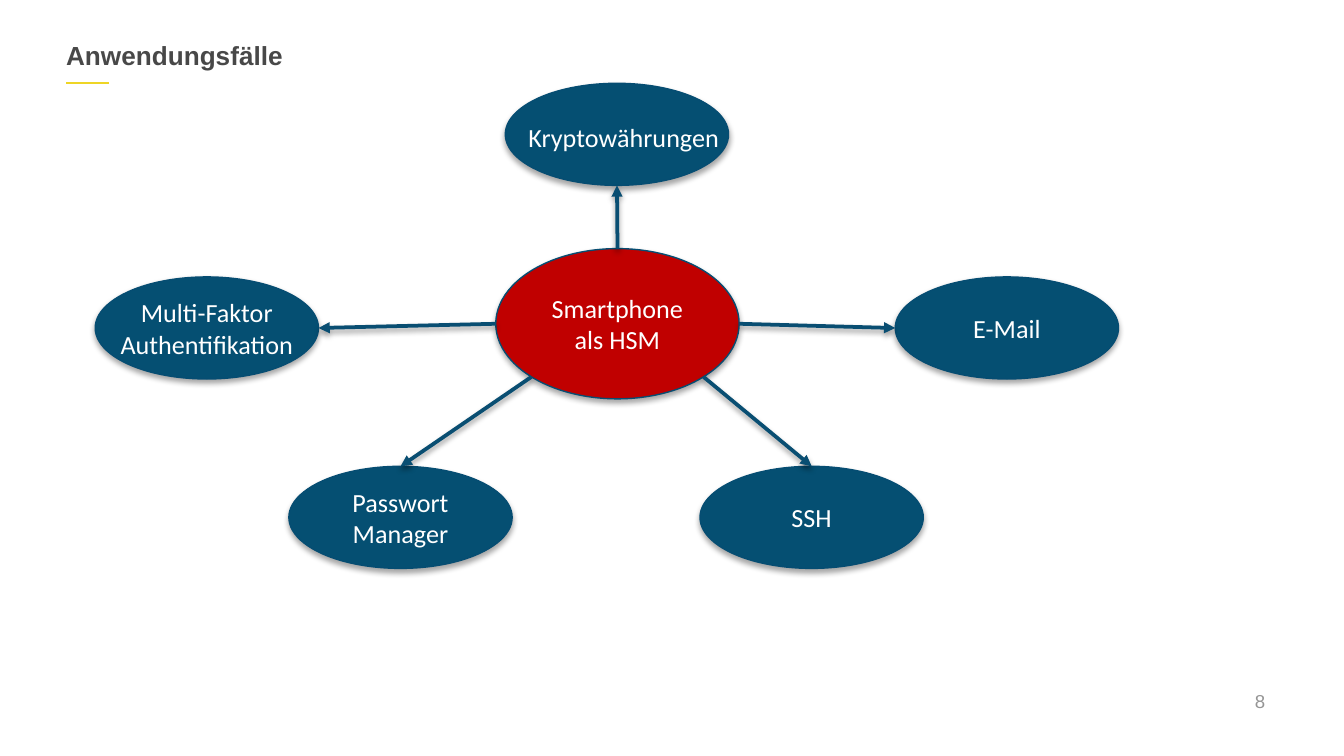
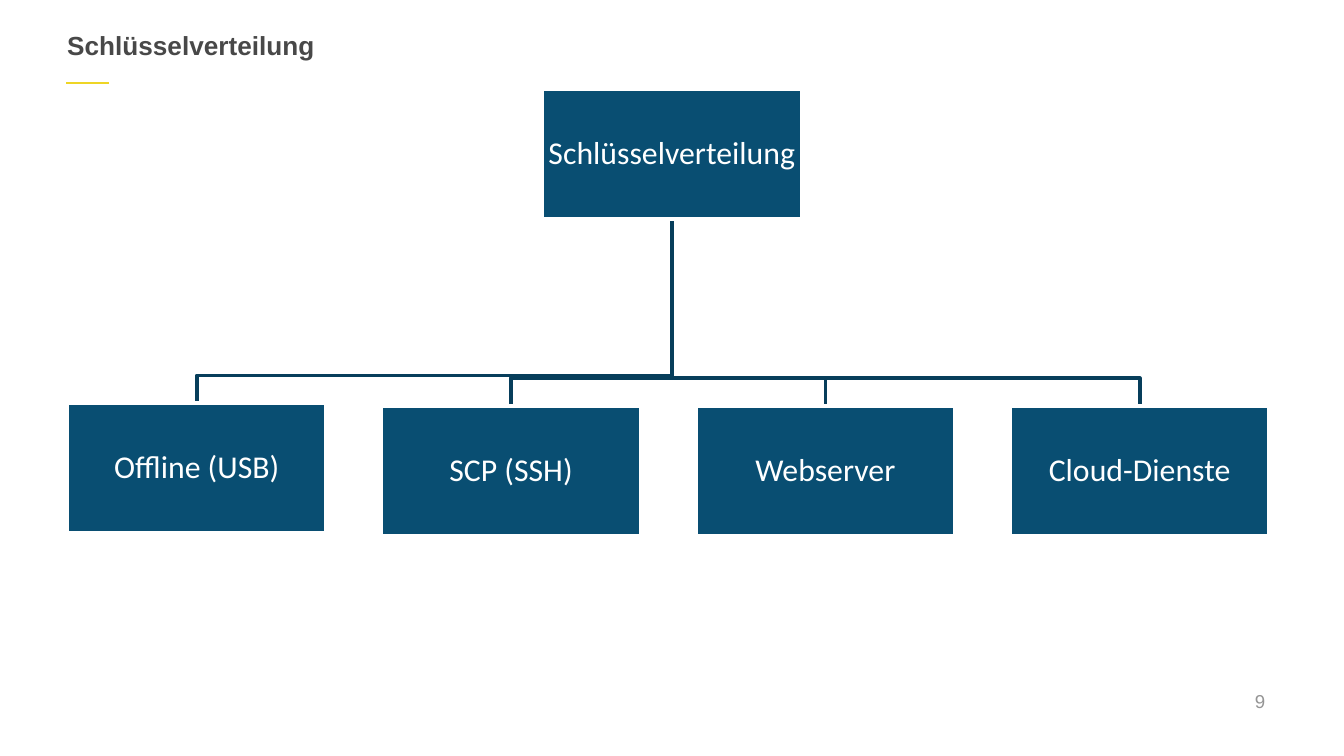
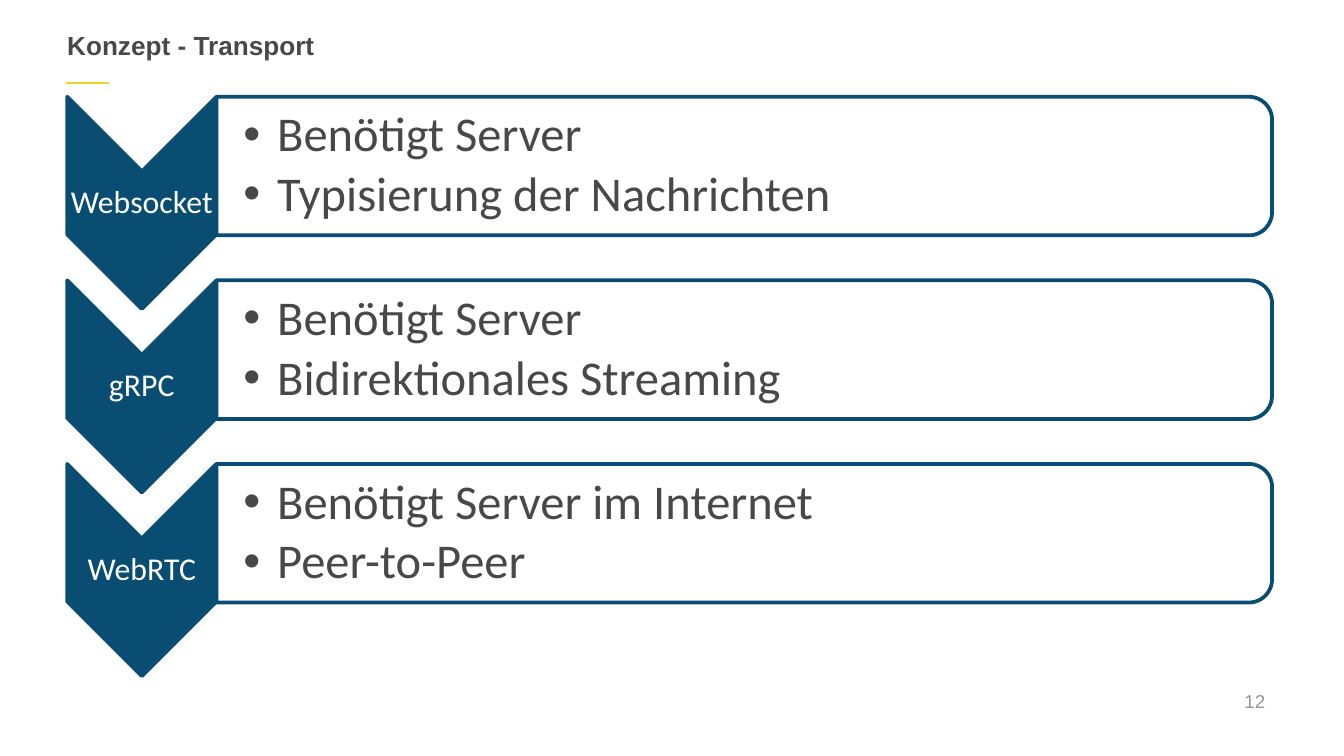
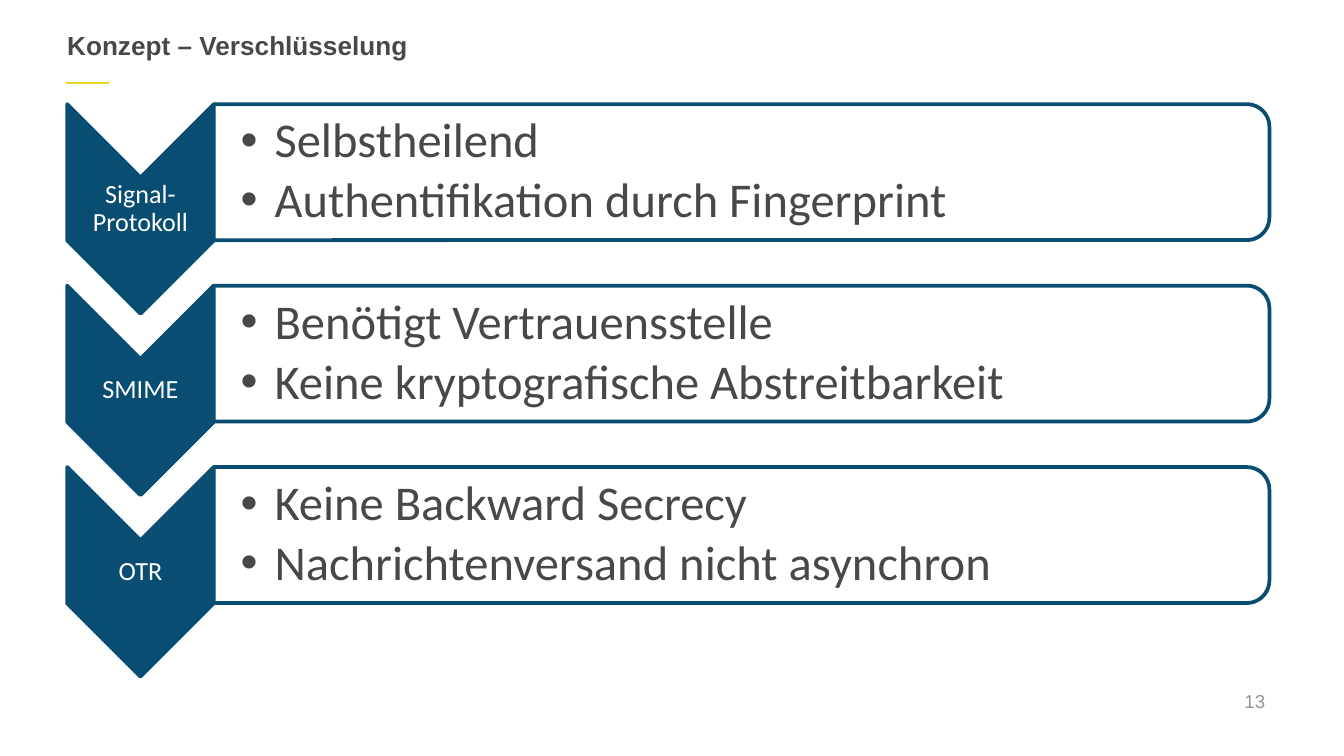
from math import cos, pi, sin

from lxml.etree import SubElement
from pptx import Presentation
from pptx.dml.color import RGBColor
from pptx.enum.shapes import MSO_CONNECTOR, MSO_SHAPE
from pptx.enum.text import MSO_ANCHOR, PP_ALIGN
from pptx.oxml.ns import qn
from pptx.util import Cm, Pt

WHITE = RGBColor(0xFF, 0xFF, 0xFF)
INK = RGBColor(0x48, 0x48, 0x48)
GREY = RGBColor(0x95, 0x95, 0x95)
GOLD = RGBColor(0xEE, 0xD5, 0x25)
RED = RGBColor(0xC0, 0x00, 0x00)
OVAL = RGBColor(0x05, 0x4F, 0x72)
RIM = RGBColor(0x06, 0x4D, 0x72)
BLUE = RGBColor(0x09, 0x4E, 0x72)
NAVY = RGBColor(0x07, 0x3E, 0x5B)

LEFT = 1.27

HUB = {"text": "Smartphone als HSM", "mid": (11.67, 6.12), "size": (4.6, 2.84),
       "label": (3.15, 1.45), "shift": (0, 0), "fill": RED}
CASES = [
    {"text": "E-Mail", "mid": (19.03, 6.2), "label": (3.15, 0.86), "turn": 0, "port": pi},
    {"text": "SSH", "mid": (15.34, 9.78), "label": (3.15, 0.86), "turn": pi / 4, "port": -pi / 2},
    {"text": "Passwort Manager", "mid": (7.57, 9.78), "label": (3.15, 1.45),
     "turn": 3 * pi / 4, "port": -pi / 2},
    {"text": "Multi-Faktor\nAuthentifikation", "mid": (3.91, 6.2), "label": (3.84, 1.45),
     "turn": pi, "port": 0},
    {"text": "Kryptowährungen", "mid": (11.66, 2.54), "label": (4.22, 0.86),
     "shift": (0.13, 0.05), "turn": -pi / 2, "port": pi / 2},
]
CASE = {"size": (4.22, 1.93), "shift": (0, 0), "fill": OVAL}

ROOT = "Schlüsselverteilung"
WAYS = [("Offline (USB)", 7.62), ("SCP (SSH)", 7.67), ("Webserver", 7.67), ("Cloud-Dienste", 7.67)]

MOVES = [
    ("Websocket", ["Benötigt Server", "Typisierung der Nachrichten"]),
    ("gRPC", ["Benötigt Server", "Bidirektionales Streaming"]),
    ("WebRTC", ["Benötigt Server im Internet", "Peer-to-Peer"]),
]
CIPHERS = [
    ("Signal-Protokoll", ["Selbstheilend", "Authentifikation durch Fingerprint"]),
    ("SMIME", ["Benötigt Vertrauensstelle", "Keine kryptografische Abstreitbarkeit"]),
    ("OTR", ["Keine Backward Secrecy", "Nachrichtenversand nicht asynchron"]),
]


def effect(item, alpha=None, dist=0):
    box = SubElement(item._element.spPr, qn("a:effectLst"))
    if alpha:
        shade = SubElement(box, qn("a:outerShdw"), blurRad=str(Pt(3.1)), dist=str(Pt(dist)),
                           dir="5400000", rotWithShape="0")
        tone = SubElement(shade, qn("a:srgbClr"), val="000000")
        SubElement(tone, qn("a:alpha"), val=str(alpha * 1000))


def stroke(item, color, width):
    item.line.color.rgb = color
    item.line.width = Pt(width)


def write(item, lines, size, color=WHITE, font="Calibri", bold=False,
          align=PP_ALIGN.CENTER, inset=None, space=None, dots=False):
    frame = item.text_frame
    frame.word_wrap = True
    frame.vertical_anchor = MSO_ANCHOR.MIDDLE
    if inset:
        (frame.margin_left, frame.margin_top,
         frame.margin_right, frame.margin_bottom) = map(Cm, inset)
    for i, line in enumerate(lines):
        para = frame.add_paragraph() if i else frame.paragraphs[0]
        para.alignment = align
        if space:
            para.line_spacing = space
        if dots:
            para.space_after = Pt(4)
            props = para._p.get_or_add_pPr()
            props.set("marL", str(Cm(0.64)))
            props.set("indent", str(-Cm(0.64)))
            SubElement(props, qn("a:buFont"), typeface="Arial")
            SubElement(props, qn("a:buChar"), char="•")
        for j, part in enumerate(line.split("\n")):
            if j:
                para.add_line_break()
            run = para.add_run()
            run.text = part
            run.font.name = font
            run.font.size = Pt(size)
            run.font.bold = bold
            run.font.color.rgb = color


def label(slide, place, lines, size, **look):
    write(slide.shapes.add_textbox(*map(Cm, place)), lines, size, **look)


def around(mid, size):
    return mid[0] - size[0] / 2, mid[1] - size[1] / 2, *size


def shape(slide, kind, place, fill, line, width):
    item = slide.shapes.add_shape(kind, *map(Cm, place))
    item.fill.solid()
    item.fill.fore_color.rgb = fill
    stroke(item, line, width)
    return item


def link(slide, start, end, color, width):
    item = slide.shapes.add_connector(MSO_CONNECTOR.STRAIGHT, *map(Cm, (*start, *end)))
    stroke(item, color, width)
    return item


def page(deck, title, number, spot=(LEFT, 0.36)):
    slide = deck.slides.add_slide(deck.slide_layouts[6])
    effect(link(slide, (2.06, 1.57), (1.24, 1.57), GOLD, 1.5))
    label(slide, (18.24, 12.75, 5.92, 0.99), [str(number)], 10, color=GREY,
          font="Arial", align=PP_ALIGN.RIGHT)
    label(slide, (*spot, 22.76, 0.99), [title], 14, color=INK, font="Arial",
          bold=True, align=PP_ALIGN.LEFT, inset=(0, 0, 0, 0))
    return slide


def edge(node, angle):
    (x, y), (w, h) = node["mid"], node["size"]
    return x + w / 2 * cos(angle), y + h / 2 * sin(angle)


def star(slide):
    nodes = [CASE | case for case in CASES]
    for node in [HUB, *nodes]:
        item = shape(slide, MSO_SHAPE.OVAL, around(node["mid"], node["size"]),
                     node["fill"], RIM, 0.75)
        effect(item, 35, 1.8)
        mid = [a + b for a, b in zip(node["mid"], node["shift"])]
        label(slide, around(mid, node["label"]), [node["text"]], 14)
    for node in nodes:
        arm = link(slide, edge(HUB, node["turn"]), edge(node, node["port"]), BLUE, 2)
        SubElement(arm.line._get_or_add_ln(), qn("a:tailEnd"), type="triangle")
        effect(arm, 38, 1.6)


def tree(slide):
    wide, high, step = 4.9, 2.46, 5.94
    top, mid = 1.68, 12.7
    boxes = [(text, LEFT + i * step, y) for i, (text, y) in enumerate(WAYS)]
    for _, x, y in reversed(boxes):
        end, bend = x + wide / 2, y - 0.52
        path = slide.shapes.build_freeform(Cm(mid), Cm(top + high))
        path.add_line_segments([(Cm(a), Cm(b)) for a, b in
                                [(mid, bend), (end, bend), (end, y)]], close=False)
        item = path.convert_to_shape()
        item.fill.background()
        stroke(item, NAVY, 2)
        effect(item)
    for text, x, y in [(ROOT, mid - wide / 2, top), *boxes]:
        item = shape(slide, MSO_SHAPE.RECTANGLE, (x, y, wide, high), BLUE, WHITE, 2)
        effect(item)
        write(item, [text], 17, inset=(0.03,) * 4, space=0.9)


def steps(slide, rows, top, pitch, long, wide, deep, size):
    start, reach = LEFT + wide, 19.95
    for i, (name, points) in enumerate(rows):
        y = top + i * pitch
        mid = LEFT + wide / 2, y + long / 2
        arrow = shape(slide, MSO_SHAPE.CHEVRON, around(mid, (long, wide)), BLUE, BLUE, 2)
        arrow.rotation = 90
        effect(arrow)
        label(slide, around(mid, (wide, long - wide)), [name], size,
              inset=(0.03,) * 4, space=0.9)
        spot = start + reach / 2, y + deep / 2
        bar = shape(slide, MSO_SHAPE.ROUND_2_SAME_RECTANGLE, around(spot, (deep, reach)),
                    WHITE, BLUE, 2)
        bar.rotation = 90
        tone = bar._element.spPr.find(qn("a:solidFill")).find(qn("a:srgbClr"))
        SubElement(tone, qn("a:alpha"), val="90000")
        effect(bar)
        label(slide, (start, y + 0.13, reach - 0.13, deep - 0.26), points, 26, color=INK,
              align=PP_ALIGN.LEFT, inset=(0.51, 0.05, 0.05, 0.05), space=0.9, dots=True)


def main():
    deck = Presentation()
    deck.slide_width, deck.slide_height = Cm(25.4), Cm(14.29)
    star(page(deck, "Anwendungsfälle", 8, (1.25, 0.54)))
    tree(page(deck, "Schlüsselverteilung", 9))
    steps(page(deck, "Konzept - Transport", 12), MOVES, 1.83, 3.47, 4.01, 2.82, 2.62, 17)
    steps(page(deck, "Konzept – Verschlüsselung", 13), CIPHERS, 1.97, 3.43, 3.96, 2.77, 2.57, 14)
    deck.save("out.pptx")


if __name__ == "__main__":
    main()
